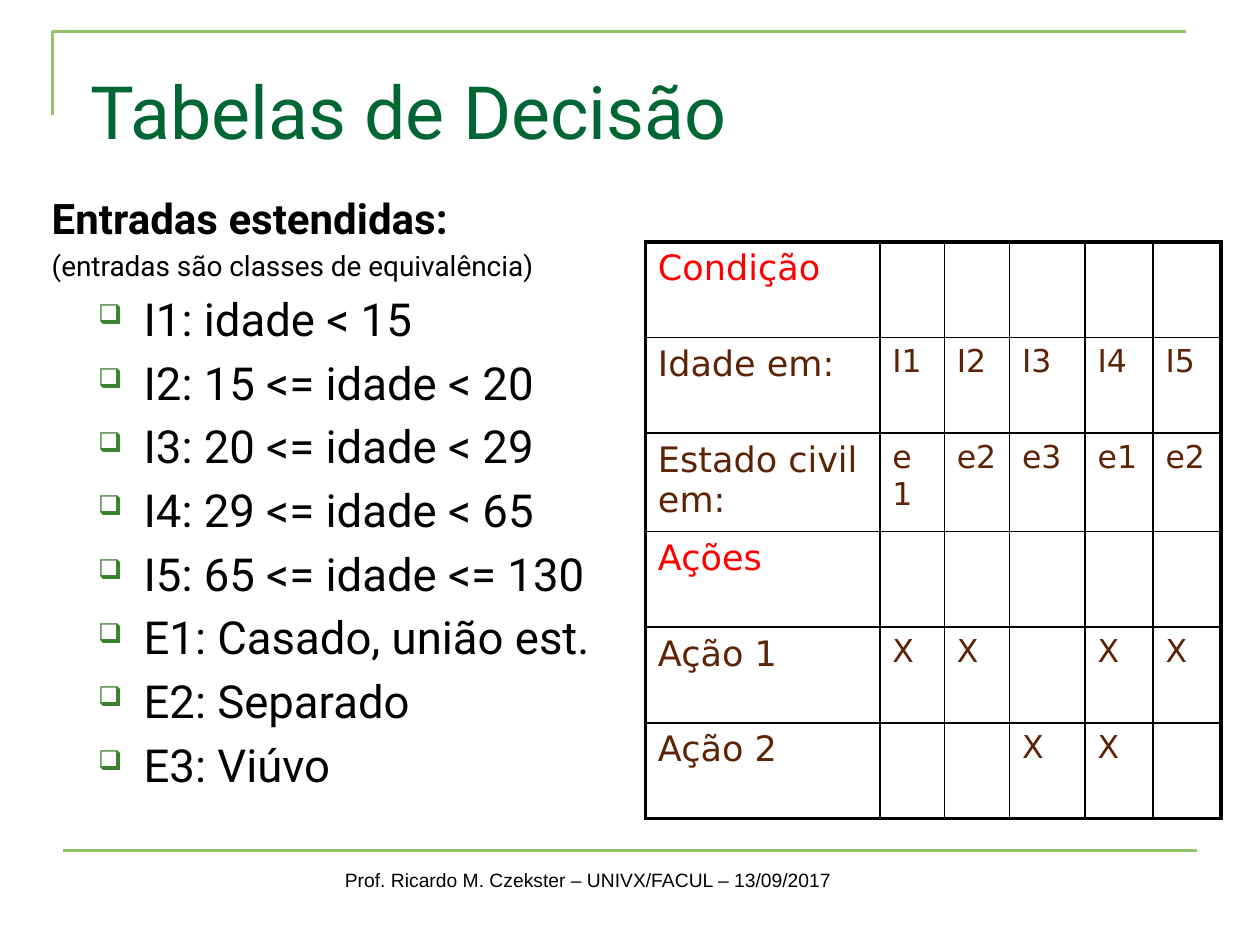
"""Build the decision table slide."""
from dataclasses import dataclass

from lxml.etree import SubElement
from pptx import Presentation
from pptx.dml.color import RGBColor
from pptx.enum.shapes import MSO_CONNECTOR
from pptx.oxml.ns import qn
from pptx.util import Pt

BLACK = RGBColor(0x00, 0x00, 0x00)
TITLE_GREEN = RGBColor(0x00, 0x66, 0x33)
RULE_GREEN = RGBColor(0x92, 0xC3, 0x68)
BULLET_GREEN = RGBColor(0x3B, 0x81, 0x2F)
HEADING_RED = RGBColor(0xFF, 0x00, 0x00)
TABLE_BROWN = RGBColor(0x5C, 0x23, 0x05)

INNER_BORDER, OUTER_BORDER = 1, 2.25
COLUMN_WIDTHS = (134, 36.8, 37.3, 43.2, 38.8, 38.8)
ROW_HEIGHTS = (54.7, 54.7, 56.2, 54.7, 54.7, 54.7)


@dataclass(frozen=True)
class Style:
    font: str
    size: float
    color: RGBColor = BLACK
    bold: bool = False


@dataclass(frozen=True)
class Entry:
    text: str
    style: Style
    margin: float = 27
    hanging: float = 27
    bullet: str = ""


@dataclass(frozen=True)
class TableRow:
    label: str
    values: tuple[str, ...]
    color: RGBColor = TABLE_BROWN


HEADING = Style("Roboto", 24, bold=True)
NOTE = Style("Roboto", 16)
ITEM = Style("Roboto", 26)
ITEM_TEXTS = (
    "I1: idade < 15",
    "I2: 15 <= idade < 20",
    "I3: 20 <= idade < 29",
    "I4: 29 <= idade < 65",
    "I5: 65 <= idade <= 130",
    "E1: Casado, união est.",
    "E2: Separado",
    "E3: Viúvo",
)
ENTRIES = [
    Entry("Entradas estendidas:", HEADING),
    Entry("(entradas são classes de equivalência)", NOTE),
    *(Entry(text, ITEM, 52.5, 26, "❑") for text in ITEM_TEXTS),
]
TABLE_ROWS = (
    TableRow("Condição", ("",) * 5, HEADING_RED),
    TableRow("Idade em:", ("I1", "I2", "I3", "I4", "I5")),
    TableRow("Estado civil em:", ("e1", "e2", "e3", "e1", "e2")),
    TableRow("Ações", ("",) * 5, HEADING_RED),
    TableRow("Ação 1", ("X", "X", "", "X", "X")),
    TableRow("Ação 2", ("", "", "X", "X", "")),
)


def write(para, text: str, style: Style) -> None:
    """Put text in a paragraph and set its font."""
    para.text = text
    font = para.font
    font.name, font.size, font.bold = style.font, Pt(style.size), style.bold
    font.color.rgb = style.color


def space_above(para) -> None:
    """Set the space before a paragraph to a fifth of its line."""
    spacing = SubElement(para._p.get_or_add_pPr(), qn("a:spcBef"))
    SubElement(spacing, qn("a:spcPct"), val="20000")


def add_text(page, left: float, top: float, width: float, height: float, wrap: bool = True):
    """Add a text box and return its frame."""
    box = page.shapes.add_textbox(Pt(left), Pt(top), Pt(width), Pt(height))
    box.text_frame.word_wrap = wrap
    return box.text_frame


def write_entry(para, entry: Entry) -> None:
    """Write one entry of the list with its indent and bullet."""
    properties = para._p.get_or_add_pPr()
    properties.set("marL", str(Pt(entry.margin)))
    properties.set("indent", str(-Pt(entry.hanging)))
    space_above(para)
    if entry.bullet:
        color = SubElement(properties, qn("a:buClr"))
        SubElement(color, qn("a:srgbClr"), val=str(BULLET_GREEN))
        SubElement(properties, qn("a:buSzPct"), val="60000")
        SubElement(properties, qn("a:buChar"), char=entry.bullet)
    write(para, entry.text, entry.style)


def add_rules(page) -> None:
    """Draw the corner line above the title and the line above the footer."""
    builder = page.shapes.build_freeform(Pt(30), Pt(66))
    builder.add_line_segments([(Pt(30), Pt(18)), (Pt(678), Pt(18))], close=False)
    corner = builder.convert_to_shape()
    corner.shadow.inherit = False
    corner.fill.background()
    rule = page.shapes.add_connector(
        MSO_CONNECTOR.STRAIGHT, Pt(36), Pt(486), Pt(684), Pt(486)
    )
    SubElement(rule._element.spPr, qn("a:effectLst"))
    for shape in (corner, rule):
        shape.line.color.rgb = RULE_GREEN
        shape.line.width = Pt(1.5)


def set_borders(cell, row: int, column: int) -> None:
    """Give a cell thin borders, thick on the outside of the table."""
    outside = {
        "a:lnL": column == 0,
        "a:lnR": column == len(COLUMN_WIDTHS) - 1,
        "a:lnT": row == 0,
        "a:lnB": row == len(ROW_HEIGHTS) - 1,
    }
    properties = cell._tc.get_or_add_tcPr()
    for tag, outer in outside.items():
        width = Pt(OUTER_BORDER if outer else INNER_BORDER)
        line = SubElement(properties, qn(tag), w=str(width))
        fill = SubElement(line, qn("a:solidFill"))
        SubElement(fill, qn("a:srgbClr"), val=str(BLACK))


def add_decision_table(page) -> None:
    """Add the table of conditions and actions."""
    table = page.shapes.add_table(
        len(ROW_HEIGHTS), len(COLUMN_WIDTHS), Pt(368.8), Pt(138.2),
        Pt(sum(COLUMN_WIDTHS)), Pt(sum(ROW_HEIGHTS)),
    ).table
    table.first_row = table.horz_banding = False
    for column, width in zip(table.columns, COLUMN_WIDTHS):
        column.width = Pt(width)
    for row, height in zip(table.rows, ROW_HEIGHTS):
        row.height = Pt(height)
    for row, content in enumerate(TABLE_ROWS):
        for column, text in enumerate((content.label, *content.values)):
            cell = table.cell(row, column)
            set_borders(cell, row, column)
            cell.fill.background()
            if text:
                para = cell.text_frame.paragraphs[0]
                space_above(para)
                size = 18 if column else 20
                write(para, text, Style("DejaVu Sans", size, content.color))


def main() -> None:
    """Build and save the deck."""
    deck = Presentation()
    deck.slide_width, deck.slide_height = Pt(720), Pt(540)
    page = deck.slides.add_slide(deck.slide_layouts[6])
    add_rules(page)
    footer = add_text(page, 190, 492.5, 297.5, 21, wrap=False)
    write(footer.paragraphs[0], "Prof. Ricardo M. Czekster – UNIVX/FACUL – 13/09/2017",
          Style("Arial", 11))
    title = add_text(page, 44.8, 34, 498, 54)
    write(title.paragraphs[0], "Tabelas de Decisão", Style("Roboto", 42, TITLE_GREEN))
    body = add_text(page, 22.5, 106.5, 343.5, 366)
    for index, entry in enumerate(ENTRIES):
        write_entry(body.add_paragraph() if index else body.paragraphs[0], entry)
    add_decision_table(page)
    deck.save("out.pptx")


if __name__ == "__main__":
    main()
